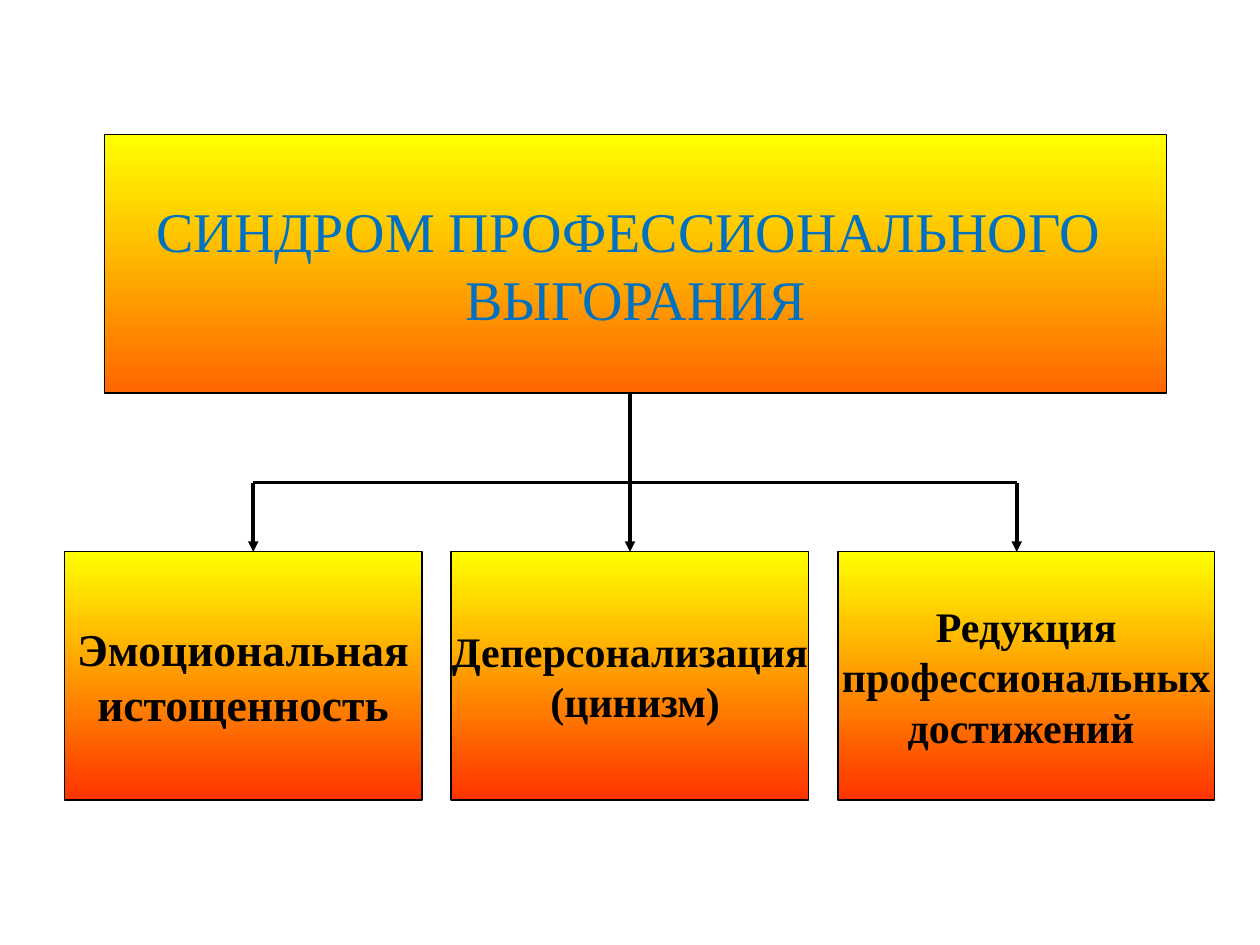
from lxml import etree
from pptx import Presentation
from pptx import util as u
from pptx.dml import color
from pptx.enum import shapes, text
from pptx.oxml import ns

BLACK, BLUE, YELLOW, ORANGE, RED = "000000", "0070C0", "FFFF00", "FF6600", "FF3300"


def rgb(hex_value):
    return color.RGBColor.from_string(hex_value)


class Diagram:
    font = "Times New Roman"
    box_border = 0.75
    connector_width = 2

    def __init__(self, slide):
        self.slide = slide

    def box(self, left, top, width, height, lines, bottom_color, font_format, font_color=BLACK):
        """Draw a rectangle shaded from yellow down to bottom_color, with centred lines."""
        box = self.slide.shapes.add_shape(
            shapes.MSO_SHAPE.RECTANGLE, *map(u.Inches, (left, top, width, height)))
        box.shadow.inherit = False
        box.fill.gradient()
        box.fill.gradient_angle = 270
        for stop, hex_value in zip(box.fill.gradient_stops, (YELLOW, bottom_color)):
            stop.color.rgb = rgb(hex_value)
        box.line.color.rgb = rgb(BLACK)
        box.line.width = u.Pt(self.box_border)

        frame = box.text_frame
        frame.word_wrap = False
        frame.vertical_anchor = text.MSO_ANCHOR.MIDDLE
        frame.text = "\n".join(lines)
        for paragraph in frame.paragraphs:
            paragraph.alignment = text.PP_ALIGN.CENTER
            for run in paragraph.runs:
                run.font.name = self.font
                run.font.color.rgb = rgb(font_color)
                for name, value in font_format.items():
                    setattr(run.font, name, value)
        return box

    def connector(self, x1, y1, x2, y2, arrow=True, target=None):
        """Draw a straight line; target is a box whose top middle it joins."""
        line = self.slide.shapes.add_connector(
            shapes.MSO_CONNECTOR.STRAIGHT, *map(u.Inches, (x1, y1, x2, y2)))
        line.line.color.rgb = rgb(BLACK)
        line.line.width = u.Pt(self.connector_width)
        properties = line.line._get_or_add_ln()
        if arrow:
            etree.SubElement(properties, ns.qn("a:tailEnd"), type="triangle")
        etree.SubElement(properties.getparent(), ns.qn("a:effectLst"))
        if target is not None:
            line.end_connect(target, 0)


def main():
    deck = Presentation()
    deck.slide_width, deck.slide_height = u.Inches(10), u.Inches(7.5)
    diagram = Diagram(deck.slides.add_slide(deck.slide_layouts[6]))

    title_top, title_height = 1.07, 2.05
    diagram.box(0.83, title_top, 8.43, title_height,
                ["СИНДРОМ ПРОФЕССИОНАЛЬНОГО ", "ВЫГОРАНИЯ"],
                ORANGE, {"size": u.Pt(32), "bold": False}, BLUE)

    first_left, pitch, parts_top, parts_height = 0.51, 3.07, 4.38, 1.97
    parts = [
        (2.84, 26, ["Эмоциональная", "истощенность"]),
        (2.84, 24, ["Деперсонализация", " (цинизм)"]),
        (2.99, 24, ["Редукция", "профессиональных", "достижений "]),
    ]
    part_boxes = [
        diagram.box(first_left + i * pitch, parts_top, width, parts_height, lines,
                    RED, {"size": u.Pt(size), "bold": True})
        for i, (width, size, lines) in enumerate(parts)
    ]

    branch_y, left_x, middle_x, right_x = 3.83, 2.01, 5, 8.07
    diagram.connector(left_x, branch_y, right_x, branch_y, arrow=False)
    for x in (left_x, right_x):
        diagram.connector(x, branch_y, x, parts_top)
    diagram.connector(middle_x, title_top + title_height, middle_x, parts_top,
                      target=part_boxes[1])

    deck.save("out.pptx")


if __name__ == "__main__":
    main()
